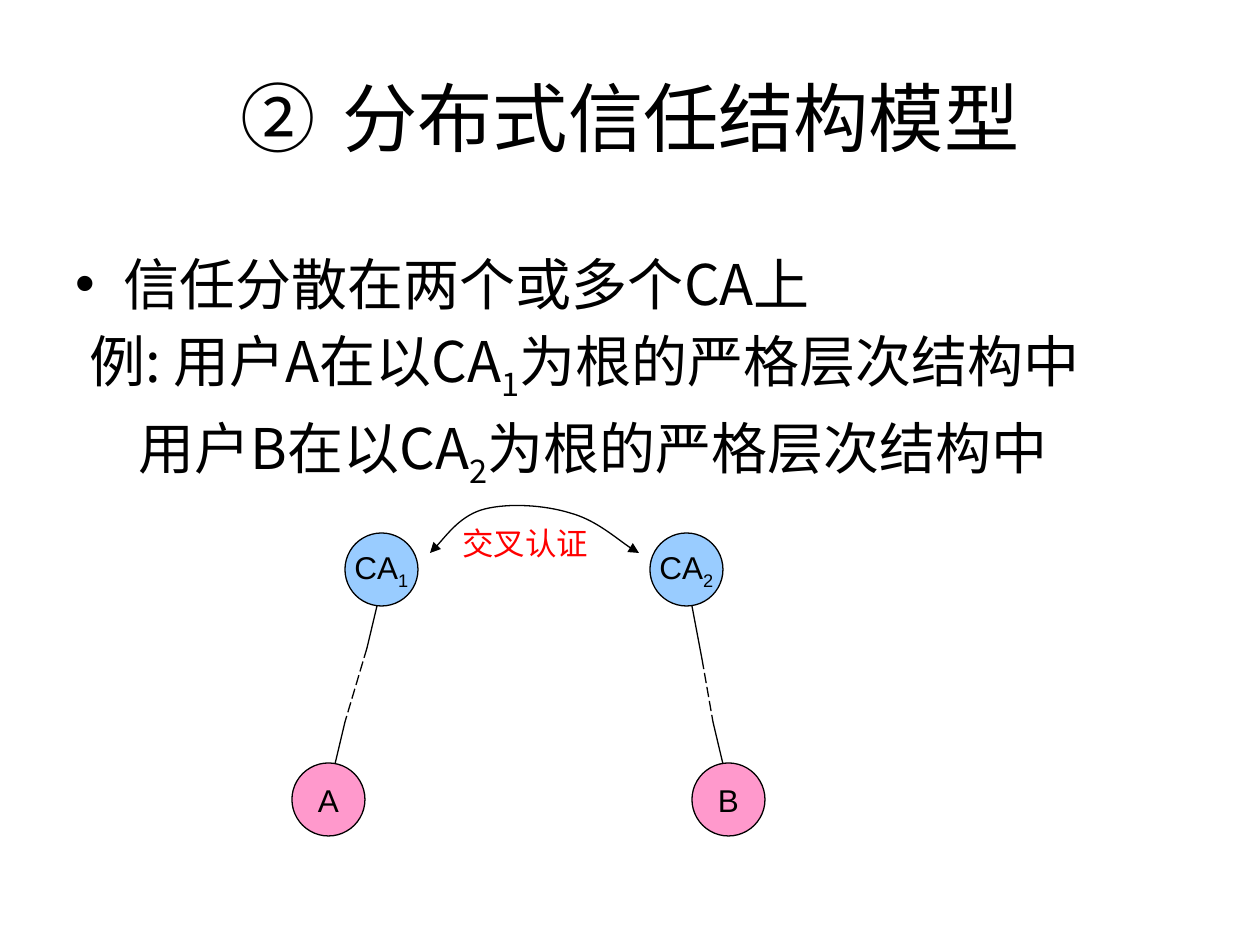
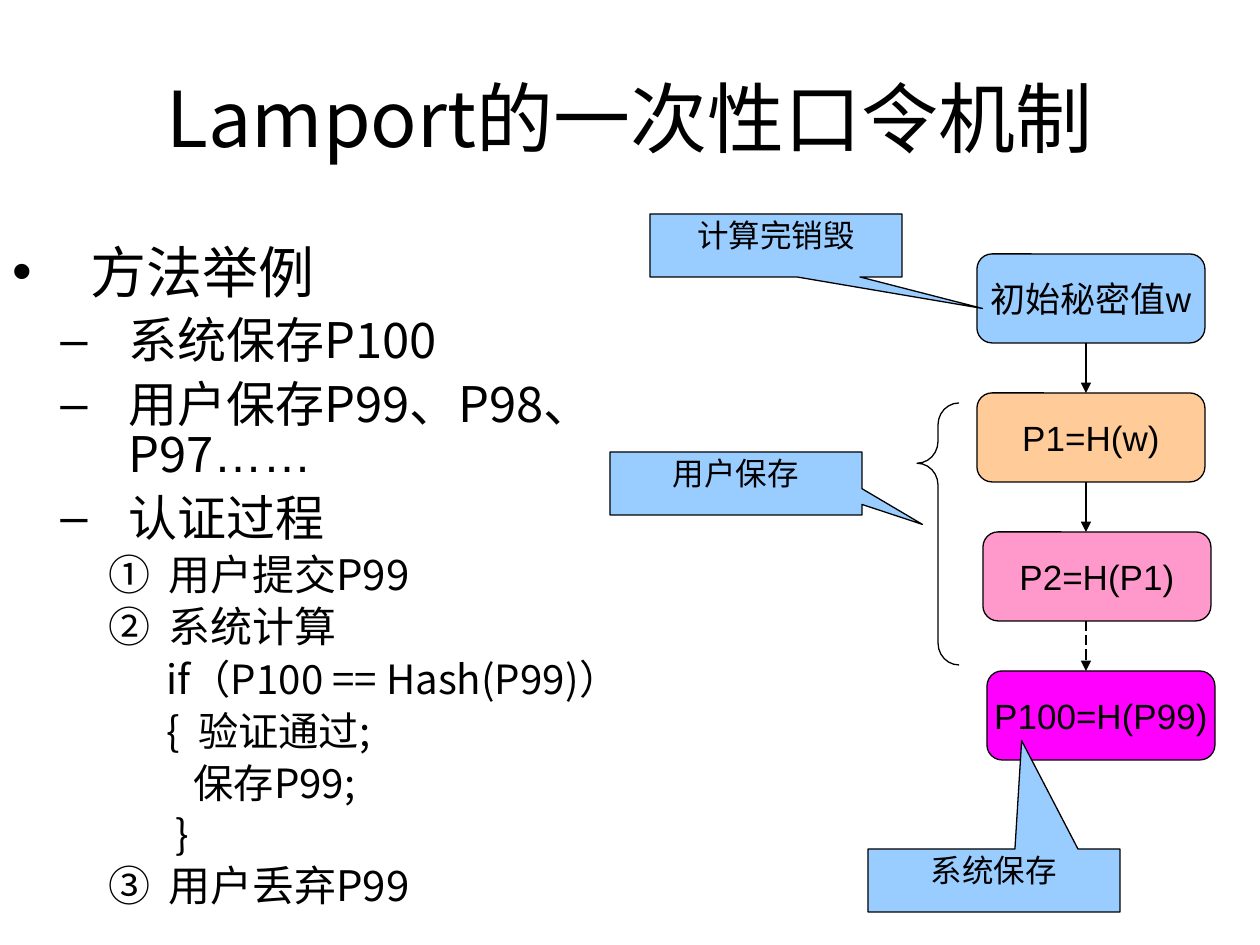
from itertools import pairwise

from lxml.etree import SubElement
from pptx import Presentation
from pptx.dml.color import RGBColor
from pptx.enum.dml import MSO_LINE
from pptx.enum.shapes import MSO_CONNECTOR, MSO_SHAPE as SHAPE
from pptx.enum.text import MSO_ANCHOR as ANCHOR, PP_ALIGN as ALIGN
from pptx.oxml.ns import qn
from pptx.util import Pt

PX = 914400 / 126
COLORS = {
    "ink": "000000",
    "label": "FF0000",
    "blue": "99CCFF",
    "pink": "FF99CC",
    "peach": "FFCC99",
    "magenta": "FF00FF",
}
CJK = "Noto Sans CJK SC"
LATIN = "Arial"
TITLE_BOX = (63, 38, 1134, 157)
CIRCLED = "circleNumDbPlain"


def px(*lengths):
    return [round(length * PX) for length in lengths]


def rgb(color):
    return RGBColor.from_string(COLORS[color])


def add_run(paragraph, text, size, font=CJK, color="ink", baseline=0):
    run = paragraph.add_run()
    run.text = text
    run.font.size = Pt(size)
    run.font.color.rgb = rgb(color)
    run.font.name = font
    properties = run.font._element
    SubElement(properties, qn("a:ea")).set("typeface", CJK)
    if baseline:
        properties.set("baseline", str(baseline * 1000))


def add_runs(paragraph, pieces, size, font=CJK, color="ink"):
    for index, piece in enumerate(pieces):
        add_run(paragraph, piece, size, font, color, -25 if index % 2 else 0)


def set_bullet(paragraph, margin, indent, mark=None, start=1):
    properties = paragraph._p.get_or_add_pPr()
    left, first = px(margin, indent)
    properties.set("marL", str(left))
    properties.set("indent", str(first))
    if mark == CIRCLED:
        numbering = SubElement(properties, qn("a:buAutoNum"), type=mark)
        if start > 1:
            numbering.set("startAt", str(start))
    elif mark:
        SubElement(properties, qn("a:buFont"), typeface=LATIN)
        SubElement(properties, qn("a:buChar"), char=mark)
    else:
        SubElement(properties, qn("a:buNone"))


def add_text_frame(slide, box, wrap=True, anchor=ANCHOR.TOP):
    frame = slide.shapes.add_textbox(*px(*box)).text_frame
    frame.word_wrap = wrap
    frame.vertical_anchor = anchor
    return frame


def add_title(slide, text, size, number=None):
    title = add_text_frame(slide, TITLE_BOX, anchor=ANCHOR.MIDDLE).paragraphs[0]
    title.alignment = ALIGN.CENTER
    if number:
        set_bullet(title, 102, -102, CIRCLED, number)
    add_run(title, text, size)


def next_paragraph(frame, index, line_height, gap):
    paragraph = frame.add_paragraph() if index else frame.paragraphs[0]
    paragraph.line_spacing = Pt(line_height)
    paragraph.space_before = Pt(gap if index else 0)
    return paragraph


def outline(line, dashed=False, head=False, tail=False):
    line.color.rgb = rgb("ink")
    line.width = Pt(0.75)
    if dashed:
        line.dash_style = MSO_LINE.LONG_DASH
    for wanted, end in ((head, "a:headEnd"), (tail, "a:tailEnd")):
        if wanted:
            SubElement(line._ln, qn(end), type="triangle")


def add_line(slide, start, end, dashed=False, tail=False):
    line = slide.shapes.add_connector(MSO_CONNECTOR.STRAIGHT, *px(*start, *end))
    outline(line.line, dashed, tail=tail)
    SubElement(line._element.spPr, qn("a:effectLst"))


def add_node(slide, kind, box, fill, adjustments=()):
    node = slide.shapes.add_shape(kind, *px(*box))
    node.shadow.inherit = False
    for index, value in enumerate(adjustments):
        node.adjustments[index] = value
    if fill:
        node.fill.solid()
        node.fill.fore_color.rgb = rgb(fill)
    else:
        node.fill.background()
    outline(node.line)
    return node


def label_node(node, pieces, size):
    frame = node.text_frame
    frame.word_wrap = False
    frame.vertical_anchor = ANCHOR.MIDDLE
    frame.paragraphs[0].alignment = ALIGN.CENTER
    add_runs(frame.paragraphs[0], pieces, size, LATIN)


def add_trust_text(slide, box):
    frame = add_text_frame(slide, box)
    statements = [
        (48, -48, "•", ["信任分散在两个或多个CA上"]),
        (14, 0, None, ["例: 用户A在以CA", "1", "为根的严格层次结构中"]),
        (63, 0, None, ["用户B在以CA", "2", "为根的严格层次结构中"]),
    ]
    for index, (margin, indent, mark, pieces) in enumerate(statements):
        paragraph = next_paragraph(frame, index, 42, 7.5)
        set_bullet(paragraph, margin, indent, mark)
        add_runs(paragraph, pieces, 32)


def add_cross_arc(slide, left, top):
    points = [(146, 43), (169, 12), (193, 6), (217, 0), (252, 2),
              (278, 10), (304, 17), (333, 43), (347, 50)]
    builder = slide.shapes.build_freeform(138, 50, scale=PX)
    builder.add_line_segments(points, close=False)
    arc = builder.convert_to_shape(*px(left, top))
    arc.shadow.inherit = False
    arc.fill.background()
    outline(arc.line, head=True, tail=True)
    segments = list(arc._element.iter(qn("a:lnTo")))
    route = segments[0].getparent()
    for first in range(0, len(segments), 3):
        curve = SubElement(route, qn("a:cubicBezTo"))
        for segment in segments[first:first + 3]:
            curve.append(segment[0])
            route.remove(segment)


def add_trust_diagram(slide, left, top):
    members = [
        (53, 30, "blue", ["CA", "1"]),
        (358, 30, "blue", ["CA", "2"]),
        (0, 260, "pink", ["A"]),
        (400, 260, "pink", ["B"]),
    ]
    for x, y, fill, pieces in members:
        circle = add_node(slide, SHAPE.OVAL, (left + x, top + y, 73, 73), fill)
        label_node(circle, pieces, 18)
    chains = [
        [(85, 103), (75, 145), (53, 219), (43, 261)],
        [(400, 103), (410, 156), (421, 219), (431, 261)],
    ]
    for chain in chains:
        joints = [(left + x, top + y) for x, y in chain]
        for index, (start, end) in enumerate(pairwise(joints)):
            add_line(slide, start, end, dashed=index == 1)
    add_cross_arc(slide, left, top)
    frame = add_text_frame(slide, (left + 158, top + 19, 151, 50), wrap=False)
    frame.margin_top = px(2)[0]
    frame.paragraphs[0].alignment = ALIGN.CENTER
    add_run(frame.paragraphs[0], "交叉认证", 18, LATIN, "label")


def add_method_text(slide, box):
    levels = {
        "topic": (0, 78, -78, "•", 32, 37, 0),
        "point": (1, 116, -68, "–", 28, 28.5, 8),
        "step": (2, 156, -60, CIRCLED, 24, 25, 5),
        "code": (3, 189, -53, None, 23, 24, 5.5),
    }
    lines = [
        ("topic", "方法举例"),
        ("point", "系统保存P100"),
        ("point", "用户保存P99、P98、P97"),
        ("point", "认证过程"),
        ("step", "用户提交P99"),
        ("step", "系统计算"),
        ("code", "  if（P100 == Hash(P99)）"),
        ("code", "  {  验证通过;"),
        ("code", "     保存P99;"),
        ("code", "   }"),
        ("step", "用户丢弃P99"),
    ]
    frame = add_text_frame(slide, box)
    for index, (kind, text) in enumerate(lines):
        level, margin, indent, mark, size, line_height, gap = levels[kind]
        paragraph = next_paragraph(frame, index, line_height, gap)
        paragraph.level = level
        set_bullet(paragraph, margin, indent, mark)
        add_run(paragraph, text, size)
        if text.endswith("P97"):
            add_run(paragraph, "……", size, LATIN)


def add_hash_chain(slide, left, top):
    width, height, pitch, arrow_x = 228, 89, 139, left + 109
    stages = [
        (0, "初始秘密值w", "blue"),
        (0, "P1=H(w)", "peach"),
        (6, "P2=H(P1)", "pink"),
        (10, "P100=H(P99)", "magenta"),
    ]
    for index, (shift, text, fill) in enumerate(stages):
        y = top + index * pitch
        stage = add_node(slide, SHAPE.ROUNDED_RECTANGLE,
                         (left + shift, y, width, height), fill, [0.17])
        label_node(stage, [text], 20)
        if index:
            add_line(slide, (arrow_x, y - pitch + height), (arrow_x, y),
                     dashed=index == 3, tail=True)


def add_callout(slide, left, top, text, pointer):
    callout = add_node(slide, SHAPE.RECTANGULAR_CALLOUT,
                       (left, top, 252, 63), "blue", pointer)
    frame = callout.text_frame
    frame.word_wrap = True
    frame.vertical_anchor = ANCHOR.TOP
    frame.margin_top = px(2)[0]
    frame.paragraphs[0].alignment = ALIGN.CENTER
    add_run(frame.paragraphs[0], text, 18, LATIN)


def build_trust_slide(slide):
    add_title(slide, "分布式信任结构模型", 43, number=2)
    add_trust_text(slide, (63, 237, 1134, 236))
    add_trust_diagram(slide, 292, 503)


def build_password_slide(slide):
    add_title(slide, "Lamport的一次性口令机制", 44)
    add_method_text(slide, (0, 234, 758, 665))
    add_hash_chain(slide, 977, 254)
    add_callout(slide, 868, 849, "系统保存", (0.11, -2.22))
    add_callout(slide, 650, 214, "计算完销毁", (0.82, 1))
    add_callout(slide, 610, 452, "用户保存", (0.74, 0.65))
    add_node(slide, SHAPE.LEFT_BRACE, (917, 403, 42, 262), None, (0.52, 0.23))


def main():
    deck = Presentation()
    deck.slide_width, deck.slide_height = px(1260, 945)
    for build in (build_trust_slide, build_password_slide):
        build(deck.slides.add_slide(deck.slide_layouts[6]))
    deck.save("out.pptx")


if __name__ == "__main__":
    main()
